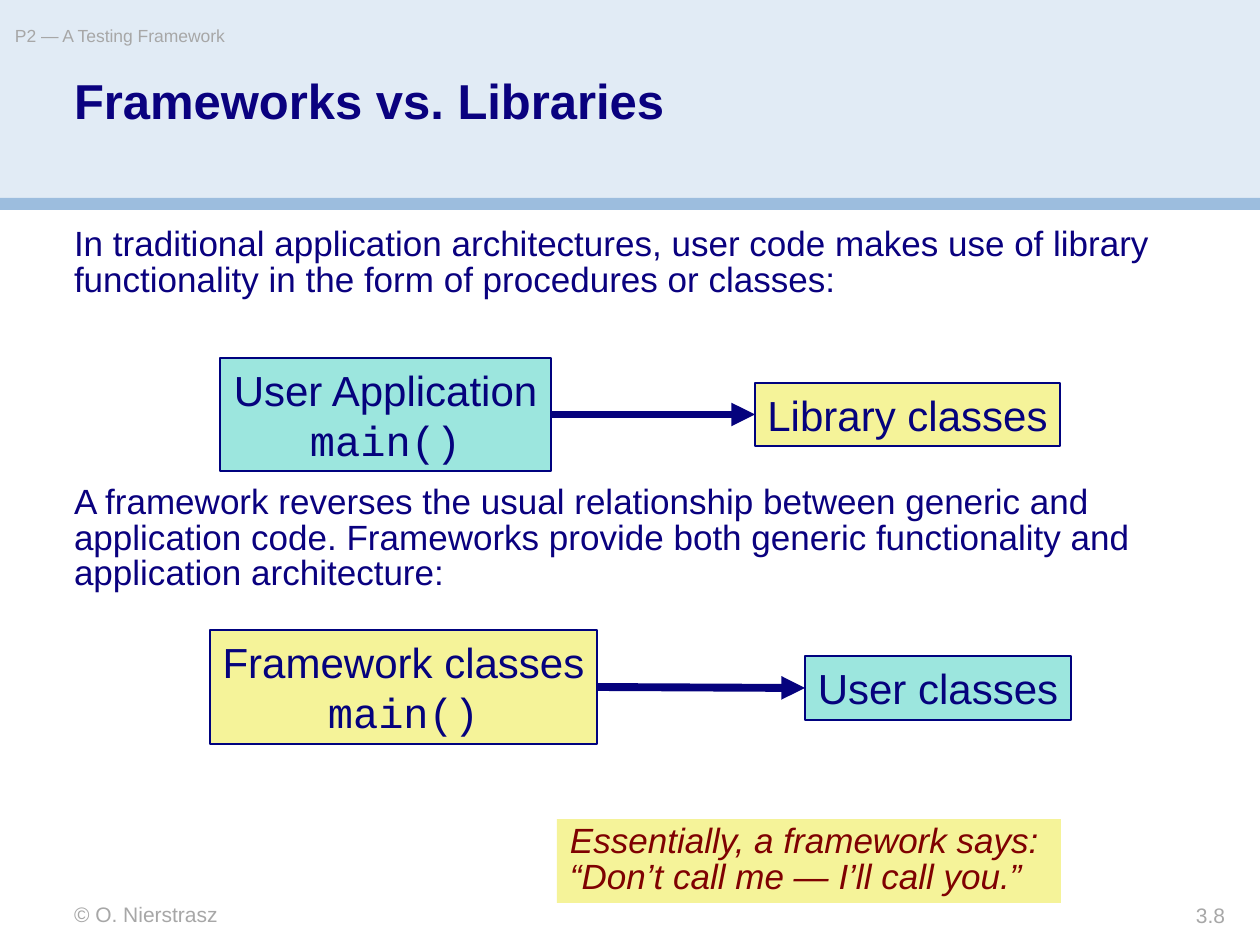
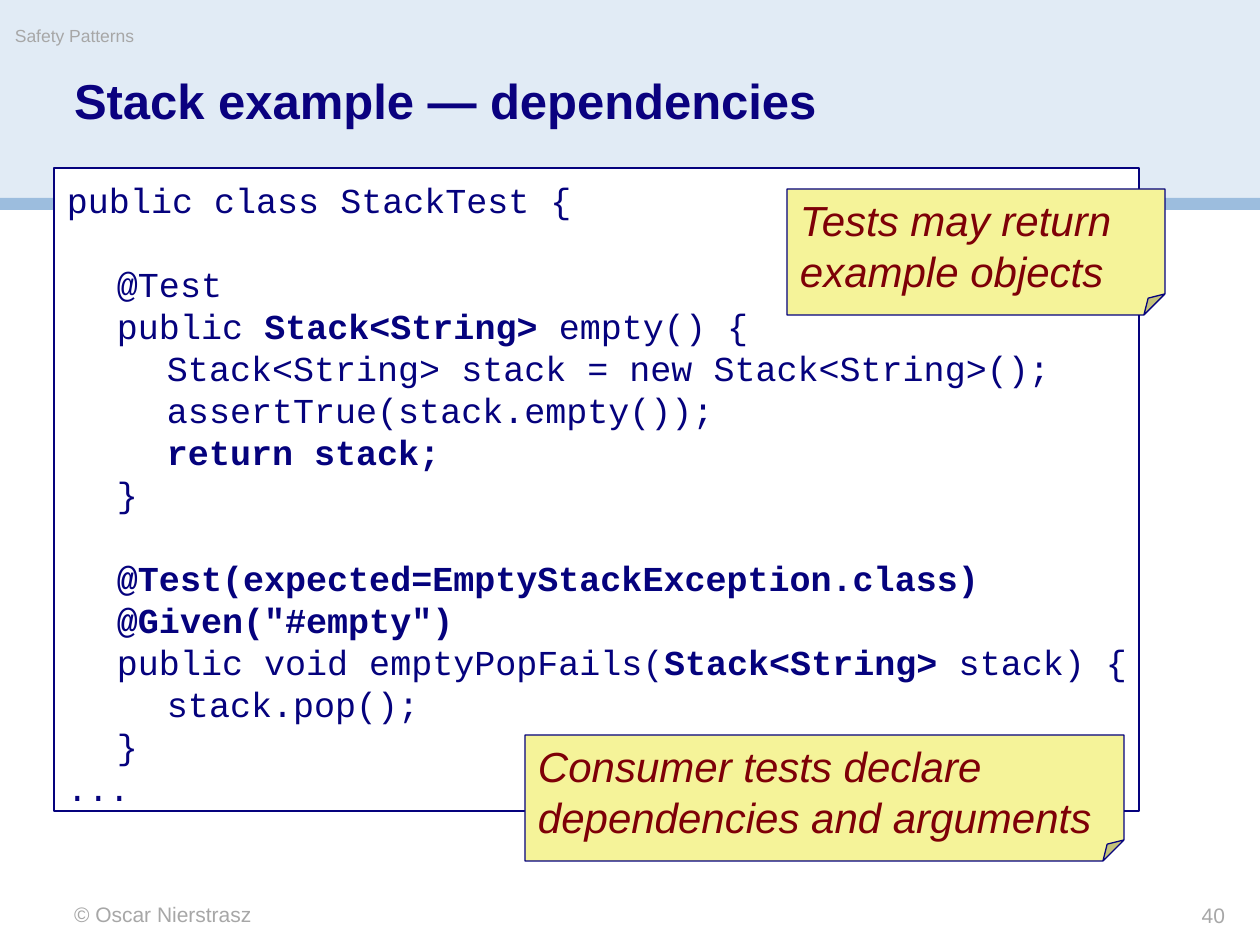
"""Build two slides on testing frameworks."""
from dataclasses import dataclass, replace

from lxml import etree
from pptx import Presentation
from pptx import util as u
from pptx.dml import color
from pptx.enum import shapes, text
from pptx.oxml import ns

PX = 914400 / 126
COLORS = {
    "band": "E1EBF5", "rule": "9CBDDE", "small": "A7A7A7", "heading": "0A017F",
    "ink": "05027D", "edge": "00027F", "user": "9CE6DE", "generic": "F5F399",
    "quote": "7F0101", "remark": "7E0007", "paper": "FFFFFF",
}
TAB = 50
INSETS = (13, 6, 13, 6)
NO_INSETS = (0, 0, 0, 0)


@dataclass(frozen=True)
class Area:
    """A rectangle in px."""
    left: int
    top: int
    width: int
    height: int


@dataclass(frozen=True)
class Style:
    """The look of a piece of text; spacing is a share of the normal line."""
    size: int
    ink: str
    font: str = "Arial"
    bold: bool = False
    italic: bool = False
    spacing: float = 1.0
    align: text.PP_ALIGN = text.PP_ALIGN.LEFT


@dataclass(frozen=True)
class ClassBox:
    """A labelled group of classes, with the entry point it may own."""
    area: Area
    fill: str
    label: str


@dataclass(frozen=True)
class Remark:
    """A note with a folded corner."""
    area: Area
    words: str


@dataclass(frozen=True)
class Frame:
    """The texts that surround the content of a slide."""
    lecture: str
    heading: str
    copyright: str
    number: str


TITLE = Style(28, "heading", bold=True, spacing=0.9)
BODY = Style(20, "heading", spacing=0.85)
HEADER = Style(10, "small")
FOOTER = Style(12, "small")
NUMBER = replace(FOOTER, align=text.PP_ALIGN.RIGHT)
LABEL = Style(24, "ink", align=text.PP_ALIGN.CENTER)
ENTRY = replace(LABEL, font="Courier New")
QUOTE = Style(20, "quote", italic=True, spacing=0.85)
REMARK = Style(24, "remark", italic=True)
CODE = Style(20, "ink", font="Courier New")

FRAMEWORKS = Frame("P2 — A Testing Framework", "Frameworks vs. Libraries", "© O. Nierstrasz", "3.8")
DEPENDENCIES = Frame("Safety Patterns", "Stack example — dependencies", "© Oscar Nierstrasz", "40")

STATEMENTS = (
    (Area(74, 228, 1113, 80), "In traditional application architectures, user code makes use "
     "of library functionality in the form of procedures or classes:"),
    (Area(74, 486, 1113, 115), "A framework reverses the usual relationship between generic and "
     "application code. Frameworks provide both generic functionality and application architecture:"),
)
CALLS = (
    (ClassBox(Area(220, 358, 331, 113), "user", "User Application\nmain()"),
     ClassBox(Area(755, 383, 305, 63), "generic", "Library classes")),
    (ClassBox(Area(210, 630, 387, 114), "generic", "Framework classes\nmain()"),
     ClassBox(Area(805, 656, 266, 64), "user", "User classes")),
)
MOTTO = "Essentially, a framework says: “Don’t call me — I’ll call you.”"
REMARKS = (
    Remark(Area(787, 189, 378, 126), "Tests may return example objects"),
    Remark(Area(525, 735, 599, 126), "Consumer tests declare dependencies and arguments"),
)
STACK_TEST = """public class StackTest {

\t@Test
\tpublic **Stack<String>** empty() {
\t\tStack<String> stack = new Stack<String>();
\t\tassertTrue(stack.empty());
\t\t**return stack;**
\t}

\t**@Test(expected=EmptyStackException.class)**
\t**@Given("#empty")**
\tpublic void emptyPopFails(**Stack<String> **stack) {
\t\tstack.pop();
\t}
..."""


def emu(px: int) -> u.Emu:
    """Turn px into EMU."""
    return u.Emu(round(px * PX))


def place(area: Area) -> tuple[u.Emu, ...]:
    """Give left, top, width and height in EMU."""
    return tuple(emu(px) for px in (area.left, area.top, area.width, area.height))


def rgb(name: str) -> color.RGBColor:
    """Look up a colour."""
    return color.RGBColor.from_string(COLORS[name])


def format_paragraph(paragraph, style: Style) -> None:
    """Apply a style to a paragraph and its runs."""
    paragraph.alignment = style.align
    paragraph.line_spacing = u.Pt(round(style.size * 1.2 * style.spacing, 1))
    for run in paragraph.runs:
        run.font.size = u.Pt(style.size)
        run.font.name = style.font
        run.font.bold = style.bold
        run.font.italic = style.italic
        run.font.color.rgb = rgb(style.ink)


def write(frame, words: str, style: Style, insets: tuple[int, ...] = INSETS,
          wrap: bool = True, anchor: text.MSO_ANCHOR = text.MSO_ANCHOR.TOP) -> None:
    """Fill a text frame with words in one style."""
    frame.margin_left, frame.margin_top, frame.margin_right, frame.margin_bottom = map(emu, insets)
    frame.word_wrap = wrap
    frame.vertical_anchor = anchor
    frame.text = words
    for paragraph in frame.paragraphs:
        format_paragraph(paragraph, style)


def add_text(slide, area: Area, words: str, style: Style) -> None:
    """Add plain text without insets."""
    write(slide.shapes.add_textbox(*place(area)).text_frame, words, style, NO_INSETS)


def add_panel(slide, area: Area, fill: str, edge: str = "",
              outline: shapes.MSO_SHAPE = shapes.MSO_SHAPE.RECTANGLE):
    """Add a filled shape, with a thin edge if one is named."""
    panel = slide.shapes.add_shape(outline, *place(area))
    panel.shadow.inherit = False
    panel.fill.solid()
    panel.fill.fore_color.rgb = rgb(fill)
    if edge:
        panel.line.color.rgb = rgb(edge)
        panel.line.width = u.Pt(0.75)
    else:
        panel.line.fill.background()
    return panel


def add_class_box(slide, group: ClassBox):
    """Add a class box, with its entry point in code font."""
    panel = add_panel(slide, group.area, group.fill, "edge")
    write(panel.text_frame, group.label, LABEL, wrap=False, anchor=text.MSO_ANCHOR.MIDDLE)
    for entry in panel.text_frame.paragraphs[1:]:
        format_paragraph(entry, ENTRY)
    return panel


def add_call(slide, caller: ClassBox, callee: ClassBox) -> None:
    """Add two class boxes and the arrow from caller to callee."""
    source, target = add_class_box(slide, caller), add_class_box(slide, callee)
    arrow = slide.shapes.add_connector(shapes.MSO_CONNECTOR.STRAIGHT, 0, 0, 0, 0)
    arrow.begin_connect(source, 3)
    arrow.end_connect(target, 1)
    arrow.line.color.rgb = rgb("ink")
    arrow.line.width = u.Pt(4.5)
    properties = arrow.element.spPr
    etree.SubElement(properties.find(ns.qn("a:ln")), ns.qn("a:tailEnd"), type="triangle")
    etree.SubElement(properties, ns.qn("a:effectLst"))


def add_remark(slide, remark: Remark) -> None:
    """Add a note with a folded corner."""
    note = add_panel(slide, remark.area, "generic", "ink", shapes.MSO_SHAPE.FOLDED_CORNER)
    write(note.text_frame, remark.words, REMARK)


def add_code(slide, area: Area, source: str) -> None:
    """Add a code listing whose ** marks enclose bold parts."""
    listing = add_panel(slide, area, "paper", "ink").text_frame
    write(listing, "\n" * source.count("\n"), CODE, (13, 10, 0, 0))
    for paragraph, line in zip(listing.paragraphs, source.split("\n")):
        stops = etree.SubElement(paragraph._p.get_or_add_pPr(), ns.qn("a:tabLst"))
        for level in (1, 2):
            etree.SubElement(stops, ns.qn("a:tab"), pos=str(emu(level * TAB)), algn="l")
        parts = line.split("**")
        for part in filter(None, parts):
            paragraph.add_run().text = part
        format_paragraph(paragraph, CODE)
        strong = [index % 2 == 1 for index, part in enumerate(parts) if part]
        for run, bold in zip(paragraph.runs, strong):
            run.font.bold = bold


def add_framed_slide(deck, frame: Frame):
    """Add a slide with bands, title, header and footer."""
    slide = deck.slides.add_slide(deck.slide_layouts[6])
    add_panel(slide, Area(0, 0, 1260, 199), "band")
    add_panel(slide, Area(0, 198, 1260, 12), "rule")
    add_text(slide, Area(74, 902, 525, 25), frame.copyright, FOOTER)
    add_text(slide, Area(15, 25, 743, 35), frame.lecture, HEADER)
    add_text(slide, Area(1039, 903, 186, 25), frame.number, NUMBER)
    add_text(slide, Area(74, 77, 1113, 112), frame.heading, TITLE)
    return slide


def build_frameworks(deck) -> None:
    """Build the comparison of frameworks and libraries."""
    slide = add_framed_slide(deck, FRAMEWORKS)
    for (area, words), (caller, callee) in zip(STATEMENTS, CALLS):
        add_text(slide, area, words, BODY)
        add_call(slide, caller, callee)
    motto = add_panel(slide, Area(557, 819, 504, 84), "generic")
    write(motto.text_frame, MOTTO, QUOTE)


def build_dependencies(deck) -> None:
    """Build the stack example."""
    slide = add_framed_slide(deck, DEPENDENCIES)
    add_code(slide, Area(54, 168, 1085, 643), STACK_TEST)
    for remark in REMARKS:
        add_remark(slide, remark)


def main() -> None:
    """Build and save the deck."""
    deck = Presentation()
    deck.slide_width, deck.slide_height = emu(1260), emu(945)
    build_frameworks(deck)
    build_dependencies(deck)
    deck.save("out.pptx")


if __name__ == "__main__":
    main()
